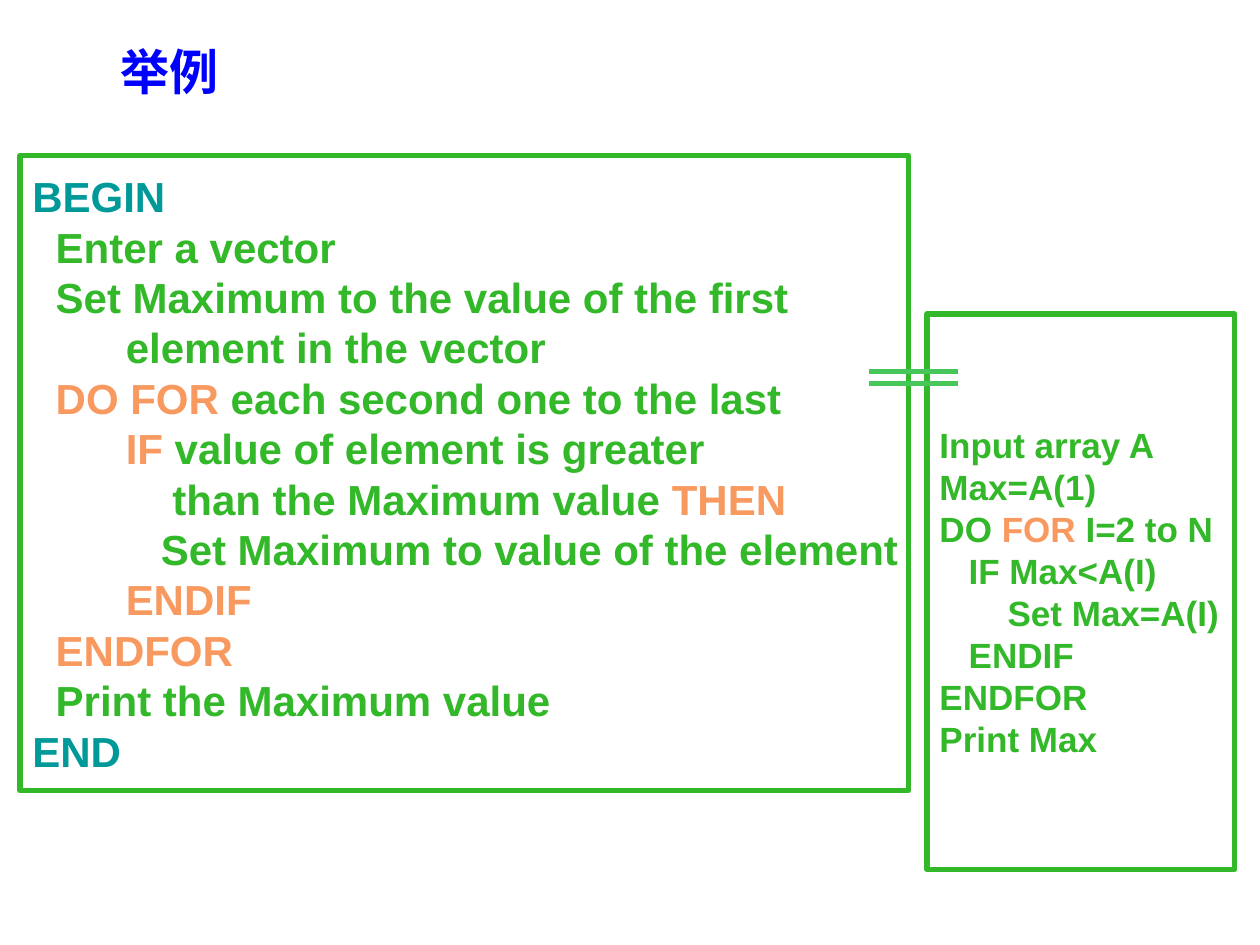
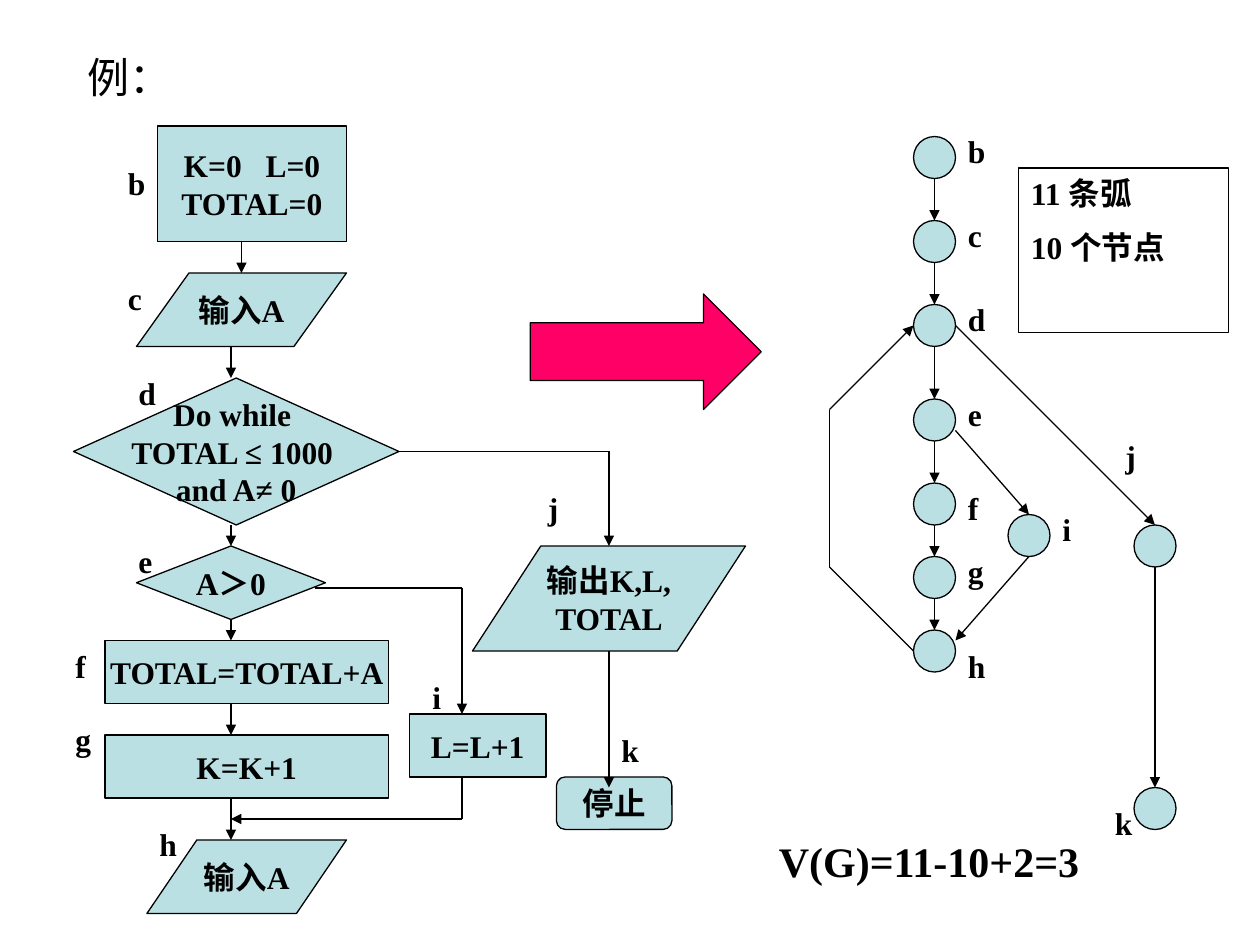
from itertools import pairwise

from lxml.etree import SubElement
from pptx import Presentation
from pptx.dml.color import RGBColor
from pptx.enum.shapes import MSO_CONNECTOR, MSO_SHAPE
from pptx.enum.text import MSO_ANCHOR, MSO_AUTO_SIZE, PP_ALIGN
from pptx.oxml.ns import qn
from pptx.util import Pt

PX = 7620  # 120 px to the inch
SANS, SERIF = "Arial", "Times New Roman"
HUES = {
    "ink": "000000", "node": "BBE0E3", "arrow": "FF0066", "title": "0000FF",
    "code": "32B828", "key": "F89A60", "edge": "009999", "link": "47C759",
}
# Label widths, letter by letter
WIDTHS = dict(zip("bcdefghijk", (41, 37, 41, 37, 34, 40, 41, 32, 34, 41)))

# Each code line: indent in spaces, then runs of text and hue
STEPS = [
    (0, [("BEGIN", "edge")]),
    (2, [("Enter a vector", "code")]),
    (2, [("Set Maximum to the value of the first", "code")]),
    (8, [("element in the vector", "code")]),
    (2, [("DO FOR ", "key"), ("each second one to the last", "code")]),
    (8, [("IF", "key"), (" value of element is greater", "code")]),
    (12, [("than the Maximum value ", "code"), ("THEN", "key")]),
    (11, [("Set Maximum to value of the element", "code")]),
    (8, [("ENDIF", "key")]),
    (2, [("ENDFOR", "key")]),
    (2, [("Print the Maximum value", "code")]),
    (0, [("END", "edge")]),
]
SHORT = [
    (0, [("Input array A", "code")]),
    (0, [("Max=A(1)", "code")]),
    (0, [("DO ", "code"), ("FOR", "key"), (" I=2 to N", "code")]),
    (3, [("IF Max<A(I)", "code")]),
    (7, [("Set Max=A(I)", "code")]),
    (3, [("ENDIF", "code")]),
    (0, [("ENDFOR", "code")]),
    (0, [("Print Max", "code")]),
]


def hue(name):
    return RGBColor.from_string(HUES[name])


def px(*nums):
    return [n * PX for n in nums]


def plain(*texts):
    """Black lines without indent."""
    return [(0, [(text, "ink")]) for text in texts]


def write(shape, lines, size, face, bold=True, align=PP_ALIGN.LEFT,
          anchor=MSO_ANCHOR.MIDDLE, wrap=False, gap=0):
    frame = shape.text_frame
    frame.auto_size = MSO_AUTO_SIZE.NONE
    frame.word_wrap = wrap
    frame.vertical_anchor = anchor
    for n, (indent, runs) in enumerate(lines):
        para = frame.add_paragraph() if n else frame.paragraphs[0]
        para.alignment = align
        para.line_spacing = Pt(size * 1.2)
        para.space_before = Pt(gap if n else 0)
        if indent:
            props = para._p.get_or_add_pPr()
            props.set("marL", str(Pt(indent * size * 0.278)))
            props.set("indent", "0")
        for text, tint in runs:
            run = para.add_run()
            run.text = text
            font = run.font
            font.size, font.name, font.bold = Pt(size), face, bold
            font.color.rgb = hue(tint)


def head(slide, box, text, size, face, tint, bold):
    title = slide.shapes.title
    title.left, title.top, title.width, title.height = px(*box)
    write(title, [(0, [(text, tint)])], size, face, bold, wrap=True)


class Pane:
    """A region of a slide; parts are placed from its top left corner."""

    def __init__(self, slide, left, top):
        self.shapes, self.left, self.top = slide.shapes, left, top

    def spot(self, x, y):
        return px(self.left + x, self.top + y)

    def shape(self, kind, x, y, w, h, fill="node", line="ink", weight=0.75):
        item = self.shapes.add_shape(kind, *self.spot(x, y), *px(w, h))
        item.shadow.inherit = False
        if fill:
            item.fill.solid()
            item.fill.fore_color.rgb = hue(fill)
        else:
            item.fill.background()
        item.line.color.rgb = hue(line)
        item.line.width = Pt(weight)
        return item

    def line(self, x1, y1, x2, y2, tip=True, tint="ink", weight=0.75):
        item = self.shapes.add_connector(
            MSO_CONNECTOR.STRAIGHT, *self.spot(x1, y1), *self.spot(x2, y2))
        item.line.color.rgb = hue(tint)
        item.line.width = Pt(weight)
        if tip:
            SubElement(item.line._get_or_add_ln(), qn("a:tailEnd"), type="triangle")
        SubElement(item._element.spPr, qn("a:effectLst"))
        return item

    def label(self, text, x, y, w=None, h=48, size=18):
        item = self.shapes.add_textbox(
            *self.spot(x, y), *px(w or WIDTHS[text], h))
        write(item, plain(text), size, SERIF, anchor=MSO_ANCHOR.TOP)


def code(slide, x, y, w, h, lines, size):
    """Framed listing."""
    frame = Pane(slide, x, y).shape(
        MSO_SHAPE.RECTANGLE, 0, 0, w, h, None, "code", 3)
    write(frame, lines, size, SANS)


def flow(slide, left, top):
    """Flow chart of the program."""
    pane = Pane(slide, left, top)
    rect, slant = MSO_SHAPE.RECTANGLE, MSO_SHAPE.PARALLELOGRAM
    start = [(0, [("K=0", "ink"), (" ", "ink"), ("L=0", "ink")])]
    nodes = {
        "b": (rect, (90, 0, 180, 110), start + plain("TOTAL=0")),
        "c": (slant, (70, 140, 200, 70), plain("输入A")),
        "d": (MSO_SHAPE.DIAMOND, (10, 240, 310, 140),
              plain("Do while ", "TOTAL ≤ 1000 ", "and A≠ 0")),
        "e": (MSO_SHAPE.FLOWCHART_DECISION, (70, 400, 180, 70), plain("A＞0")),
        "f": (rect, (40, 490, 270, 60), plain("TOTAL=TOTAL+A")),
        "g": (rect, (40, 580, 270, 60), plain("K=K+1")),
        "h": (slant, (80, 680, 190, 70), plain("输入A")),
        "i": (rect, (330, 560, 130, 60), plain("L=L+1")),
        "j": (slant, (390, 400, 260, 100), plain("输出K,L,", "TOTAL")),
        "k": (MSO_SHAPE.FLOWCHART_ALTERNATE_PROCESS, (470, 620, 110, 50),
              plain("停止")),
    }
    skews = {"c": 0.714, "h": 0.679, "j": 0.65}
    made = {}
    for name, (kind, box, lines) in nodes.items():
        node = made[name] = pane.shape(kind, *box)
        if name in skews:
            node.adjustments[0] = skews[name]
        write(node, lines, 18, SERIF, align=PP_ALIGN.CENTER)
    # Widen the gap between the two starting values
    space = made["b"].text_frame.paragraphs[0].runs[1]
    space._r.get_or_add_rPr().set("spc", "900")

    # Main column
    pane.line(170, 110, 170, 140)
    pane.line(160, 210, 160, 240)
    pane.line(160, 380, 160, 400).end_connect(made["e"], 0)
    pane.line(160, 470, 160, 490).begin_connect(made["e"], 2)
    pane.line(160, 550, 160, 580)
    pane.line(160, 640, 160, 680)
    # Branch through i
    pane.line(240, 440, 380, 440, False)
    pane.line(380, 440, 380, 560)
    pane.line(380, 620, 380, 660, False)
    pane.line(380, 660, 160, 660)
    # Branch through j to the stop
    pane.line(320, 310, 520, 310, False).begin_connect(made["d"], 3)
    pane.line(520, 310, 520, 400)
    pane.line(520, 500, 520, 630)

    spots = [(50, 30), (50, 140), (60, 230), (60, 390), (0, 490),
             (0, 560), (80, 660), (340, 520), (450, 340), (520, 570)]
    for name, spot in zip(nodes, spots):
        pane.label(name, *spot)


def graph(slide, left, top):
    """Control flow graph."""
    pane = Pane(slide, left, top)
    dot, mid = 40, 100
    rows = (10, 90, 170, 260, 340, 410, 480)
    spots = [(mid - dot // 2, y) for y in rows]
    for x, y in spots + [(170, 370), (290, 380), (290, 630)]:
        pane.shape(MSO_SHAPE.OVAL, x, y, dot, dot)
    for high, low in pairwise(rows):
        pane.line(mid, high + dot, mid, low)
    # Branch through i, then the exit
    pane.line(120, 290, 190, 370)
    pane.line(190, 410, 120, 490)
    pane.line(120, 190, 310, 380)
    pane.line(310, 420, 310, 630)
    # Loop back from h to d
    loop = [(80, 500), (0, 420), (0, 270), (80, 190)]
    for n, (a, b) in enumerate(pairwise(loop)):
        pane.line(*a, *b, tip=n == 2)

    for name, y in zip("bcdefgh", (0, 80, 160, 250, 340, 400, 490)):
        pane.label(name, 120, y)
    for name, x, y in (("i", 210, 360), ("j", 270, 290), ("k", 260, 640)):
        pane.label(name, x, y)


def count(slide, left, top):
    """Box with the number of arcs and nodes."""
    box = Pane(slide, left, top).shape(
        MSO_SHAPE.RECTANGLE, 0, 0, 200, 157, None)
    write(box, plain("11 条弧", "10 个节点"), 18, SERIF,
          anchor=MSO_ANCHOR.TOP, wrap=True, gap=9)


def sample(slide):
    head(slide, (103, 34, 253, 68), "举例", 28, SANS, "title", True)
    code(slide, 19, 148, 846, 605, STEPS, 24)
    code(slide, 883, 299, 293, 529, SHORT, 20)
    # Double line that ties the listings
    tie = Pane(slide, 828, 354)
    for y in (0, 11):
        tie.line(0, y, 84, y, False, "link", 3)


def cycle(slide):
    head(slide, (71, 43, 227, 60), "例：", 24, SERIF, "ink", False)
    flow(slide, 60, 120)
    graph(slide, 790, 120)
    page = Pane(slide, 0, 0)
    page.shape(MSO_SHAPE.RIGHT_ARROW, 505, 280, 220, 110, "arrow")
    page.label("V(G)=11-10+2=3", 730, 790, 312, 60, 24)
    count(slide, 970, 160)


def main():
    deck = Presentation()
    deck.slide_width, deck.slide_height = px(1200, 900)
    for build in (sample, cycle):
        build(deck.slides.add_slide(deck.slide_layouts[5]))
    deck.save("out.pptx")


if __name__ == "__main__":
    main()
